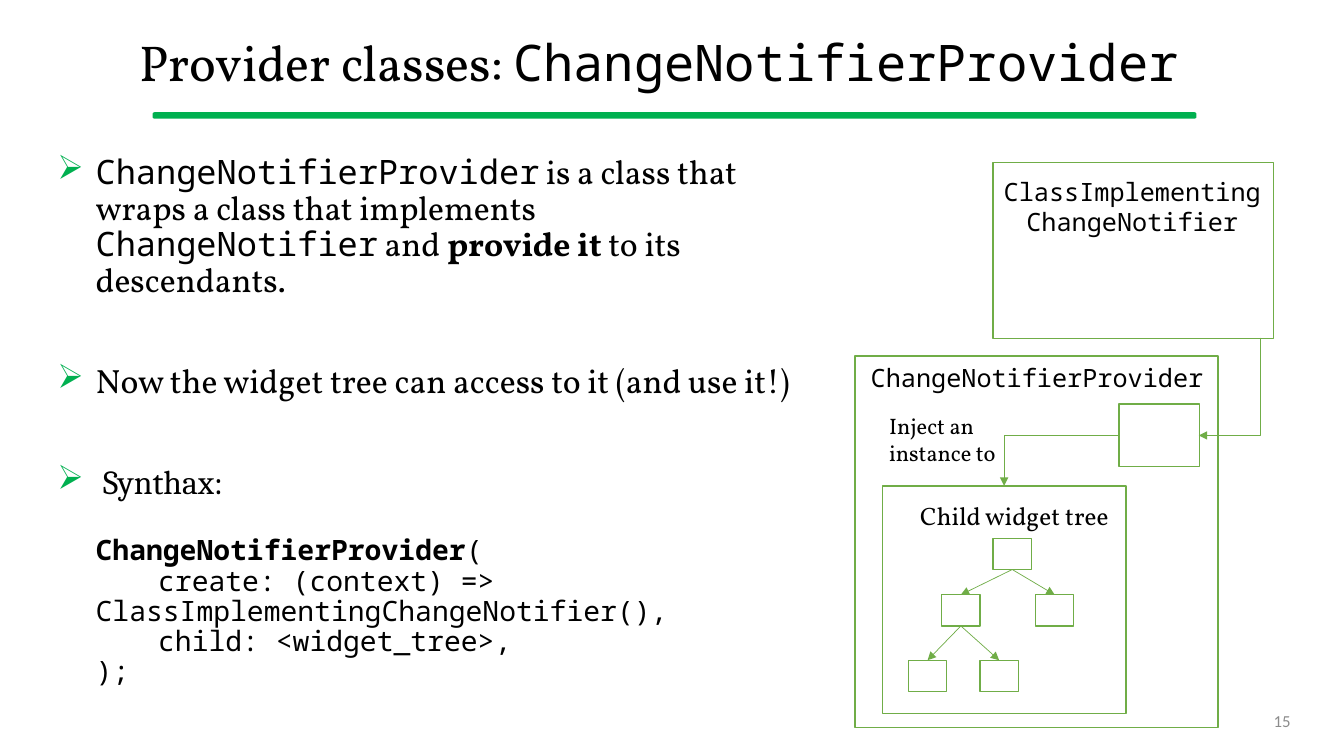
from lxml import etree
from pptx import Presentation
from pptx import util as u
from pptx.dml.color import RGBColor
from pptx.enum import shapes, text
from pptx.oxml import ns

EMU_PER_PX = 9144
SERIF, MONO = "Vollkorn", "Noto Sans Mono"
BLACK, GREEN, LEAF, GREY = "000000", "00B050", "70AD47", "8C8C8C"
NODE_WIDTH, NODE_HEIGHT = 38, 31
NODES = {"root": (985, 534), "left": (934, 590), "right": (1027, 590),
         "left leaf": (901, 655), "right leaf": (972, 655)}
EDGES = [("root", "left"), ("root", "right"),
         ("left", "left leaf"), ("left", "right leaf")]


def px(*lengths):
    return [u.Emu(length * EMU_PER_PX) for length in lengths]


def colour(hex_code):
    return RGBColor.from_string(hex_code)


def add_child(parent, tag, **attributes):
    child = etree.SubElement(parent, ns.qn(tag))
    for name, value in attributes.items():
        child.set(name, value)
    return child


def format_run(run, font, size, hex_code=BLACK, bold=False):
    run.font.name = font
    run.font.size = u.Pt(size)
    run.font.bold = bold
    run.font.color.rgb = colour(hex_code)


def add_runs(paragraph, size, *runs):
    for words, font, *bold in runs:
        run = paragraph.add_run()
        run.text = words
        format_run(run, font, size, bold=bool(bold))


def add_text_box(slide, box, anchor=text.MSO_ANCHOR.TOP):
    frame = slide.shapes.add_textbox(*px(*box)).text_frame
    frame.word_wrap = True
    frame.vertical_anchor = anchor
    return frame


def add_label(slide, box, words, font, size, align=text.PP_ALIGN.CENTER,
              hex_code=BLACK, anchor=text.MSO_ANCHOR.TOP):
    frame = add_text_box(slide, box, anchor)
    frame.text = words
    paragraph = frame.paragraphs[0]
    paragraph.alignment = align
    format_run(paragraph.runs[0], font, size, hex_code)


def add_frame(slide, *box):
    shape = slide.shapes.add_shape(shapes.MSO_SHAPE.RECTANGLE, *px(*box))
    shape.shadow.inherit = False
    shape.fill.background()
    shape.line.color.rgb = colour(LEAF)
    shape.line.width = u.Pt(1)


def add_arrow(slide, *ends):
    arrow = slide.shapes.add_connector(shapes.MSO_CONNECTOR.STRAIGHT, *px(*ends))
    arrow.line.color.rgb = colour(LEAF)
    arrow.line.width = u.Pt(0.5)
    add_child(arrow.line._get_or_add_ln(), "a:tailEnd", type="triangle")
    add_child(arrow._element.spPr, "a:effectLst")
    return arrow


def add_bent_arrow(slide, x1, y1, x2, y2, down_first=False):
    if down_first:
        width, height = y2 - y1, x1 - x2
        left, top = (x1 + x2 - width) // 2, (y1 + y2 - height) // 2
        x1, y1, x2, y2 = left, top, left + width, top + height
    arrow = add_arrow(slide, x1, y1, x2, y2)
    properties = arrow._element.spPr
    properties.find(ns.qn("a:prstGeom")).set("prst", "bentConnector2")
    if down_first:
        properties.find(ns.qn("a:xfrm")).set("rot", str(90 * 60000))


def indent(paragraph, margin, first_line):
    properties = paragraph._p.get_or_add_pPr()
    properties.set("marL", str(margin * EMU_PER_PX))
    properties.set("indent", str(first_line * EMU_PER_PX))
    paragraph.line_spacing = 0.9
    return properties


def add_bullet(paragraph, *runs):
    properties = indent(paragraph, 38, -38)
    add_child(add_child(properties, "a:buClr"), "a:srgbClr", val=GREEN)
    add_child(properties, "a:buChar", char="➢")
    add_runs(paragraph, 24, *runs)


def add_title(slide):
    frame = add_text_box(slide, (47, 18, 1243, 94), text.MSO_ANCHOR.MIDDLE)
    paragraph = frame.paragraphs[0]
    paragraph.alignment = text.PP_ALIGN.CENTER
    paragraph.line_spacing = 0.9
    add_runs(paragraph, 36, ("Provider classes: ", SERIF),
             ("ChangeNotifierProvider ", MONO))
    rule = slide.shapes.add_shape(shapes.MSO_SHAPE.ROUNDED_RECTANGLE,
                                  *px(152, 112, 1034, 5))
    rule.shadow.inherit = False
    rule.adjustments[0] = 0.26
    rule.fill.solid()
    rule.fill.fore_color.rgb = colour(GREEN)
    rule.line.color.rgb = colour(GREEN)
    rule.line.width = u.Pt(1)


def add_body(slide):
    frame = add_text_box(slide, (47, 149, 779, 564))
    bullets = [
        [("ChangeNotifierProvider", MONO),
         (" is a class that wraps a class that implements ", SERIF),
         ("ChangeNotifier", MONO), (" and ", SERIF),
         ("provide it ", SERIF, True), ("to its descendants.", SERIF)],
        [("Now the widget tree can access to it (and use it!)", SERIF)],
        [(" Synthax:", "Cambria")],
    ]
    for number, runs in enumerate(bullets):
        paragraph = frame.add_paragraph() if number else frame.paragraphs[0]
        add_bullet(paragraph, *runs)
        if number:
            paragraph.space_before = u.Pt(46)

    code = [
        (0, [("ChangeNotifierProvider", MONO, True), ("(", MONO)]),
        (62, [("create: (context) => ClassImplementingChangeNotifier(),", MONO)]),
        (62, [("child: <widget_tree>,", MONO)]),
        (0, [(");", MONO)]),
    ]
    for number, (first_line, runs) in enumerate(code):
        paragraph = frame.add_paragraph()
        indent(paragraph, 38, first_line)
        paragraph.space_before = u.Pt(0 if number else 25)
        add_runs(paragraph, 20, *runs)


def add_tree(slide):
    for left, top in NODES.values():
        add_frame(slide, left, top, NODE_WIDTH, NODE_HEIGHT)
    for parent, child in EDGES:
        (x1, y1), (x2, y2) = NODES[parent], NODES[child]
        middle = NODE_WIDTH // 2
        add_arrow(slide, x1 + middle, y1 + NODE_HEIGHT, x2 + middle, y2)


def add_diagram(slide):
    add_frame(slide, 985, 161, 278, 175)
    add_label(slide, (983, 170, 280, 71), "ClassImplementingChangeNotifier", MONO, 18)
    add_frame(slide, 848, 353, 360, 369)
    add_label(slide, (841, 355, 375, 40), "ChangeNotifierProvider", MONO, 18)
    add_frame(slide, 875, 482, 242, 226)
    add_tree(slide)
    add_label(slide, (901, 491, 215, 40), "Child widget tree ", SERIF, 18)
    add_bent_arrow(slide, 1250, 335, 1189, 432, down_first=True)
    add_frame(slide, 1110, 401, 80, 62)
    add_label(slide, (872, 404, 148, 64), "Inject an instance to", SERIF, 16,
              text.PP_ALIGN.LEFT)
    add_bent_arrow(slide, 1110, 432, 996, 482)


def main():
    presentation = Presentation()
    presentation.slide_width, presentation.slide_height = px(1333, 750)
    slide = presentation.slides.add_slide(presentation.slide_layouts[6])
    add_title(slide)
    add_body(slide)
    add_diagram(slide)
    add_label(slide, (942, 695, 348, 40), "15", "Calibri", 12,
              text.PP_ALIGN.RIGHT, GREY, text.MSO_ANCHOR.MIDDLE)
    presentation.save("out.pptx")


if __name__ == "__main__":
    main()
